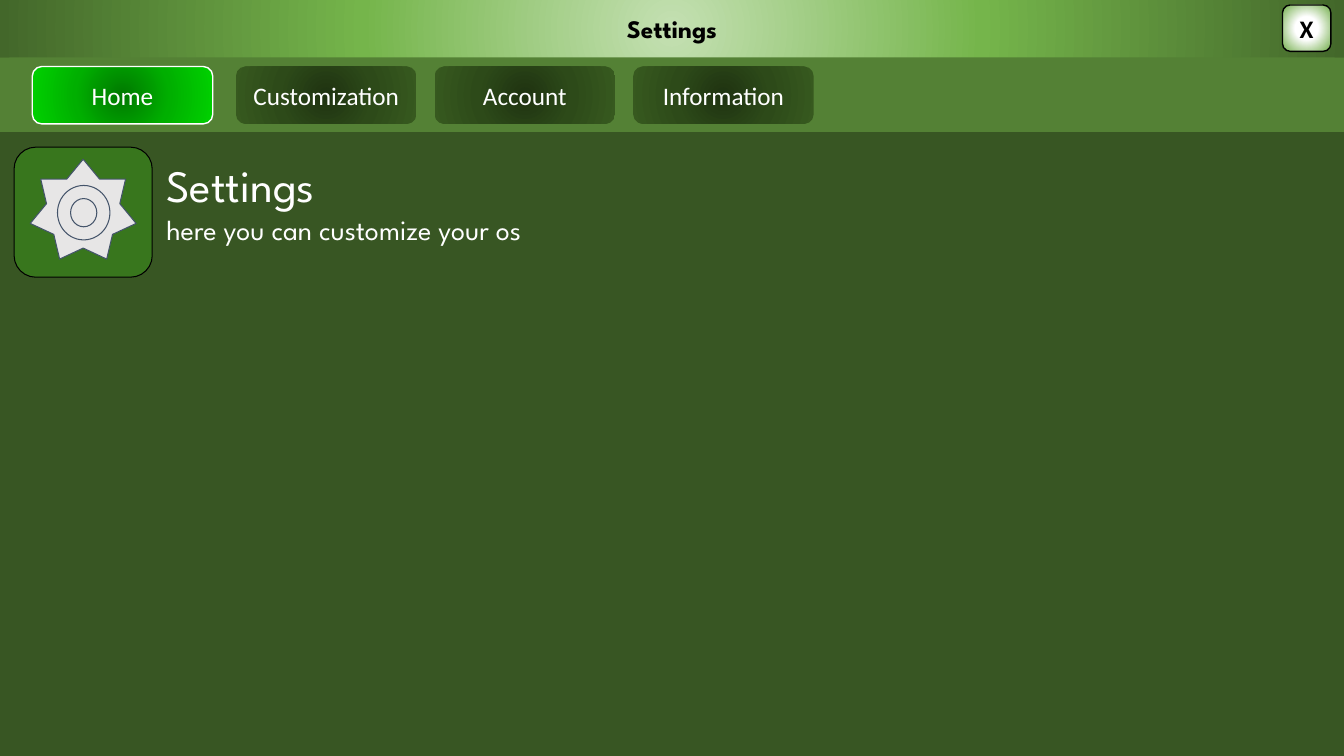
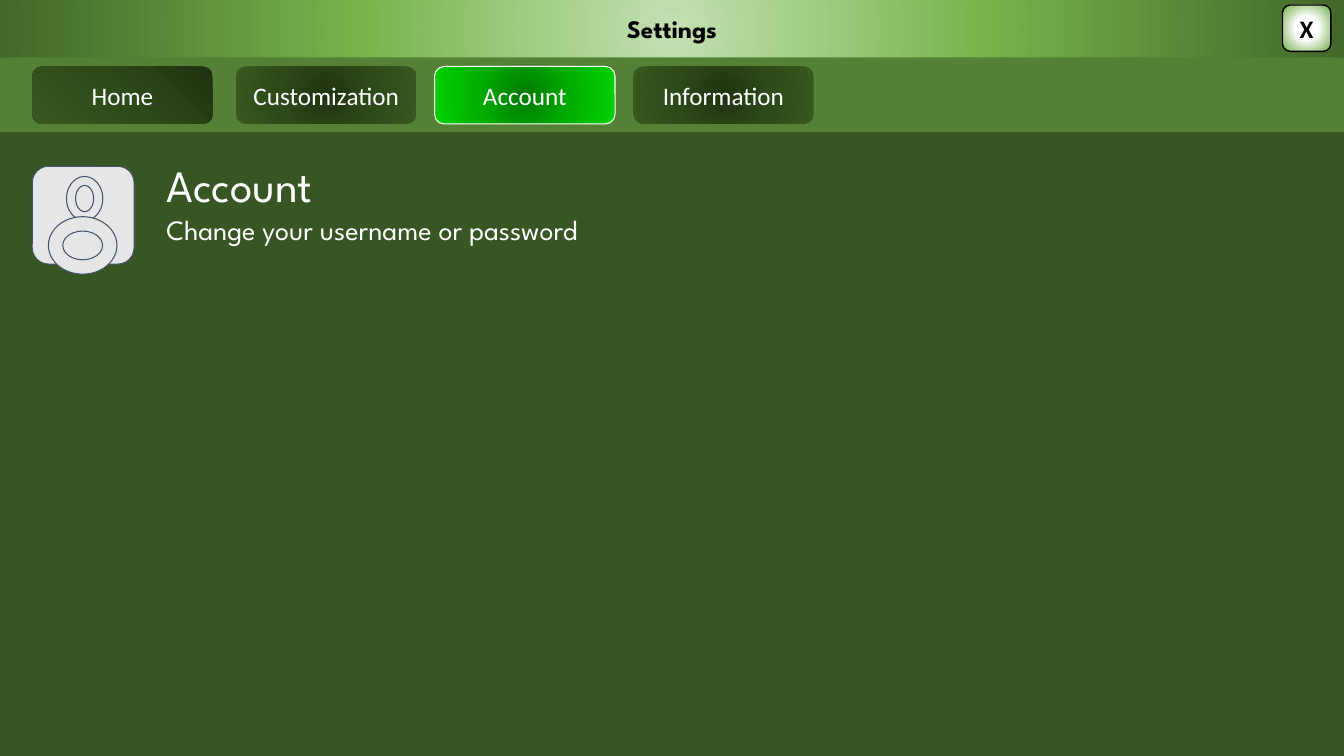
from dataclasses import dataclass
from typing import Optional, Union

import pptx
import pptx.dml.color
import pptx.enum.shapes
import pptx.enum.text
import pptx.oxml
import pptx.oxml.ns
import pptx.util
from pptx.util import Inches

SHAPE = pptx.enum.shapes.MSO_SHAPE
ALIGN = pptx.enum.text.PP_ALIGN
ANCHOR = pptx.enum.text.MSO_ANCHOR
qn = pptx.oxml.ns.qn

COLORS = {
    "page": "385623",
    "tab_bar": "548135",
    "icon_tile": "38761D",
    "icon": "E7E6E6",
    "icon_edge": "44546A",
    "white": "FFFFFF",
    "black": "000000",
    "bar_light": "C4E0B2",
    "bar_mid": "75B54B",
    "bar_dark": "43672A",
    "close_edge": "70AD47",
    "rest_dark": "1F3311",
    "rest_mid": "2D4A19",
    "rest_light": "37591F",
    "active_dark": "007900",
    "active_mid": "00AF00",
    "active_light": "00D200",
}
HEADING_FONT = "League Spartan"
LABEL_FONT = "Calibri"


@dataclass(frozen=True)
class Gradient:
    stops: tuple[tuple[int, str], ...]
    angle: Optional[int] = None


@dataclass(frozen=True)
class Part:
    preset: SHAPE
    left: float
    top: float
    width: float
    height: float
    fill: Union[str, Gradient]
    edge: Optional[str] = None
    edge_width: float = 0.75


@dataclass(frozen=True)
class Tab:
    label: str
    left: float
    resting: Gradient


@dataclass(frozen=True)
class Page:
    heading: str
    subtitle: str
    active_tab: str
    active_edge_width: float
    icon: tuple[Part, ...]
    emblem: tuple[Part, ...] = ()


RESTING_STOPS = ((0, "rest_dark"), (50, "rest_mid"), (100, "rest_light"))
RESTING = Gradient(RESTING_STOPS)
ACTIVE = Gradient(((0, "active_dark"), (50, "active_mid"), (100, "active_light")))
TITLE_FILL = Gradient(((0, "bar_light"), (46, "bar_mid"), (100, "bar_dark")))
CLOSE_FILL = Gradient(((0, "white"), (35, "white"), (100, "close_edge")))

TITLE_BAR = Part(SHAPE.RECTANGLE, 0, 0, 13.33, 0.57, TITLE_FILL)
CLOSE_BUTTON = Part(SHAPE.ROUNDED_RECTANGLE, 12.72, 0.05, 0.48, 0.46, CLOSE_FILL, "black", 1)
TAB_BAR = Part(SHAPE.RECTANGLE, 0, 0.57, 13.33, 0.74, "tab_bar")

TABS = (
    Tab("Home", 0.32, Gradient(RESTING_STOPS, 135)),
    *(
        Tab(label, 2.34 + 1.97 * position, RESTING)
        for position, label in enumerate(("Customization", "Account", "Information"))
    ),
)


def icon_part(preset: SHAPE, left: float, top: float, width: float, height: float) -> Part:
    return Part(preset, left, top, width, height, "icon", "icon_edge")


PAGES = (
    Page(
        "Settings", "here you can customize your os", "Home", 1,
        (Part(SHAPE.ROUNDED_RECTANGLE, 0.14, 1.46, 1.37, 1.29, "icon_tile", "black"),),
        (
            icon_part(SHAPE.STAR_7_POINT, 0.3, 1.58, 1.05, 0.99),
            icon_part(SHAPE.DONUT, 0.57, 1.84, 0.52, 0.54),
        ),
    ),
    Page(
        "Account", "Change your username or password", "Account", 0.75,
        (
            icon_part(SHAPE.ROUNDED_RECTANGLE, 0.32, 1.65, 1.01, 0.97),
            icon_part(SHAPE.DONUT, 0.66, 1.75, 0.36, 0.44),
            icon_part(SHAPE.DONUT, 0.48, 2.15, 0.68, 0.57),
        ),
    ),
)


def rgb(color: str) -> pptx.dml.color.RGBColor:
    return pptx.dml.color.RGBColor.from_string(COLORS[color])


def fill_gradient(shape, gradient: Gradient) -> None:
    stops = "".join(
        f'<a:gs pos="{position * 1000}"><a:srgbClr val="{COLORS[color]}"/></a:gs>'
        for position, color in gradient.stops
    )
    if gradient.angle is None:
        direction = (
            '<a:path path="circle">'
            '<a:fillToRect l="50000" t="50000" r="50000" b="50000"/></a:path>'
        )
    else:
        direction = f'<a:lin ang="{gradient.angle * 60000}" scaled="0"/>'
    shape.fill.gradient()
    properties = shape.element.spPr
    properties.replace(
        properties.find(qn("a:gradFill")),
        pptx.oxml.parse_xml(
            f'<a:gradFill {pptx.oxml.ns.nsdecls("a")} rotWithShape="1">'
            f"<a:gsLst>{stops}</a:gsLst>{direction}</a:gradFill>"
        ),
    )


def draw(shapes, part: Part):
    shape = shapes.add_shape(
        part.preset, Inches(part.left), Inches(part.top),
        Inches(part.width), Inches(part.height),
    )
    shape.shadow.inherit = False
    if isinstance(part.fill, Gradient):
        fill_gradient(shape, part.fill)
    else:
        shape.fill.solid()
        shape.fill.fore_color.rgb = rgb(part.fill)
    if part.edge is None:
        shape.line.fill.background()
    else:
        shape.line.color.rgb = rgb(part.edge)
        shape.line.width = pptx.util.Pt(part.edge_width)
    return shape


def write(
    shape, text: str, *, font: str = LABEL_FONT, size: int = 18, color: str = "white",
    bold: bool = False, align: ALIGN = ALIGN.CENTER, anchor: ANCHOR = ANCHOR.MIDDLE,
) -> None:
    frame = shape.text_frame
    frame.word_wrap = True
    frame.auto_size = pptx.enum.text.MSO_AUTO_SIZE.NONE
    frame.vertical_anchor = anchor
    paragraph = frame.paragraphs[0]
    paragraph.alignment = align
    paragraph.space_before = pptx.util.Pt(0)
    run = paragraph.add_run()
    run.text = text
    run.font.name = font
    run.font.size = pptx.util.Pt(size)
    run.font.bold = bold
    run.font.color.rgb = rgb(color)


def fill_placeholder(placeholder, text: str, top: float, width: float, height: float, size: int) -> None:
    placeholder.left, placeholder.top = Inches(1.55), Inches(top)
    placeholder.width, placeholder.height = Inches(width), Inches(height)
    write(placeholder, text, font=HEADING_FONT, size=size, align=ALIGN.LEFT, anchor=ANCHOR.TOP)


def remove_bullet(placeholder) -> None:
    for properties in placeholder.element.iter(qn("a:pPr")):
        properties.set("marL", "0")
        properties.set("indent", "0")
        properties.append(pptx.oxml.parse_xml(f'<a:buNone {pptx.oxml.ns.nsdecls("a")}/>'))


def draw_window(slide, page: Page) -> None:
    slide.background.fill.solid()
    slide.background.fill.fore_color.rgb = rgb("page")
    write(draw(slide.shapes, TITLE_BAR), "Settings", font=HEADING_FONT, color="black", bold=True)
    write(draw(slide.shapes, CLOSE_BUTTON), "X", color="black", bold=True)
    draw(slide.shapes, TAB_BAR)
    for tab in TABS:
        active = tab.label == page.active_tab
        button = Part(
            SHAPE.ROUNDED_RECTANGLE, tab.left, 0.66, 1.79, 0.57,
            ACTIVE if active else tab.resting,
            "white" if active else None, page.active_edge_width,
        )
        write(draw(slide.shapes, button), tab.label)


def add_page(deck, page: Page) -> None:
    slide = deck.slides.add_slide(deck.slide_layouts[1])
    draw_window(slide, page)
    fill_placeholder(slide.shapes.title, page.heading, 1.51, 3.29, 0.64, 32)
    subtitle = slide.placeholders[1]
    fill_placeholder(subtitle, page.subtitle, 2.06, 7.36, 0.44, 20)
    remove_bullet(subtitle)
    for part in page.icon:
        draw(slide.shapes, part)
    if page.emblem:
        emblem = slide.shapes.add_group_shape()
        for part in page.emblem:
            draw(emblem.shapes, part)


def main() -> None:
    deck = pptx.Presentation()
    deck.slide_width, deck.slide_height = Inches(13.33), Inches(7.5)
    for page in PAGES:
        add_page(deck, page)
    deck.save("out.pptx")


if __name__ == "__main__":
    main()
